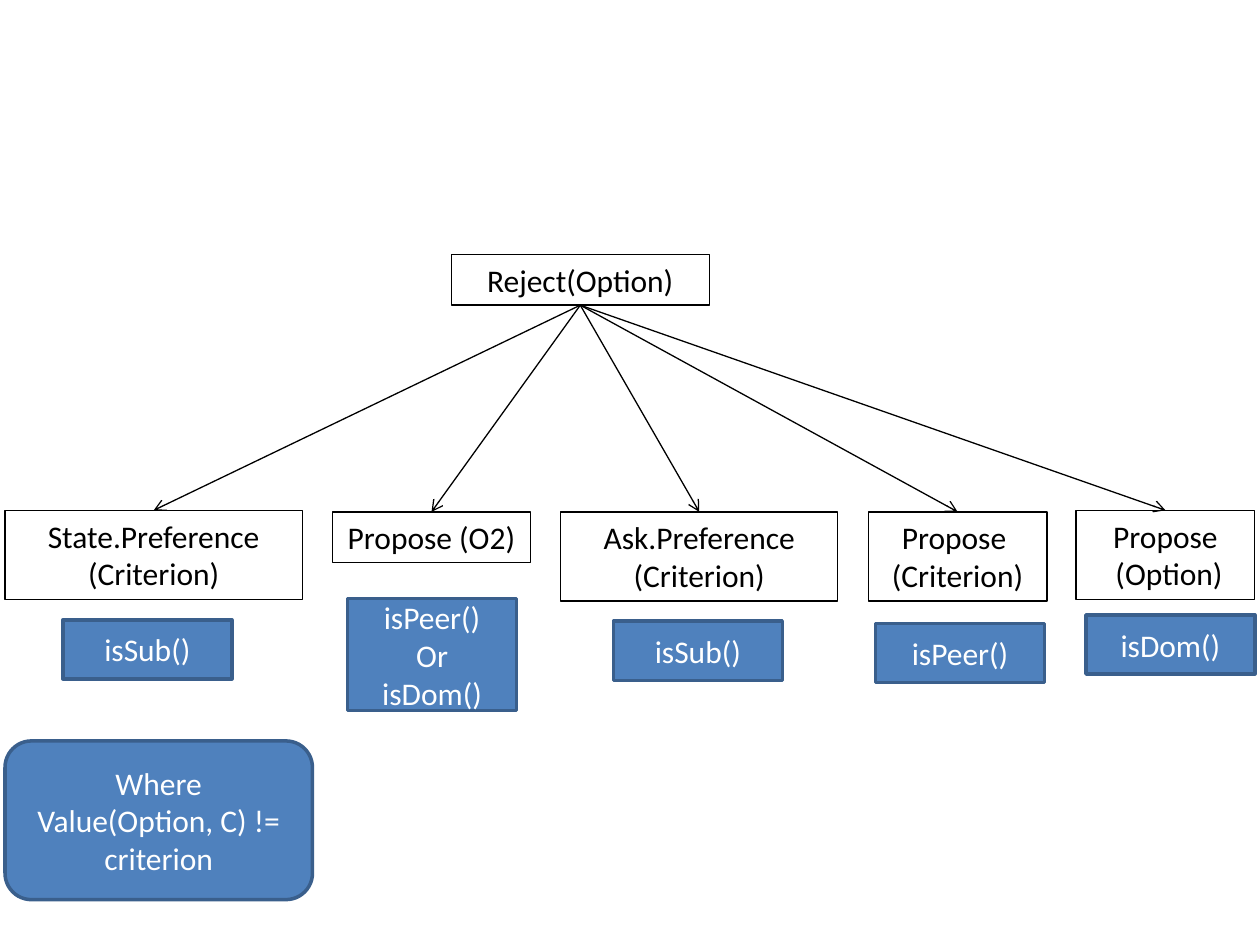
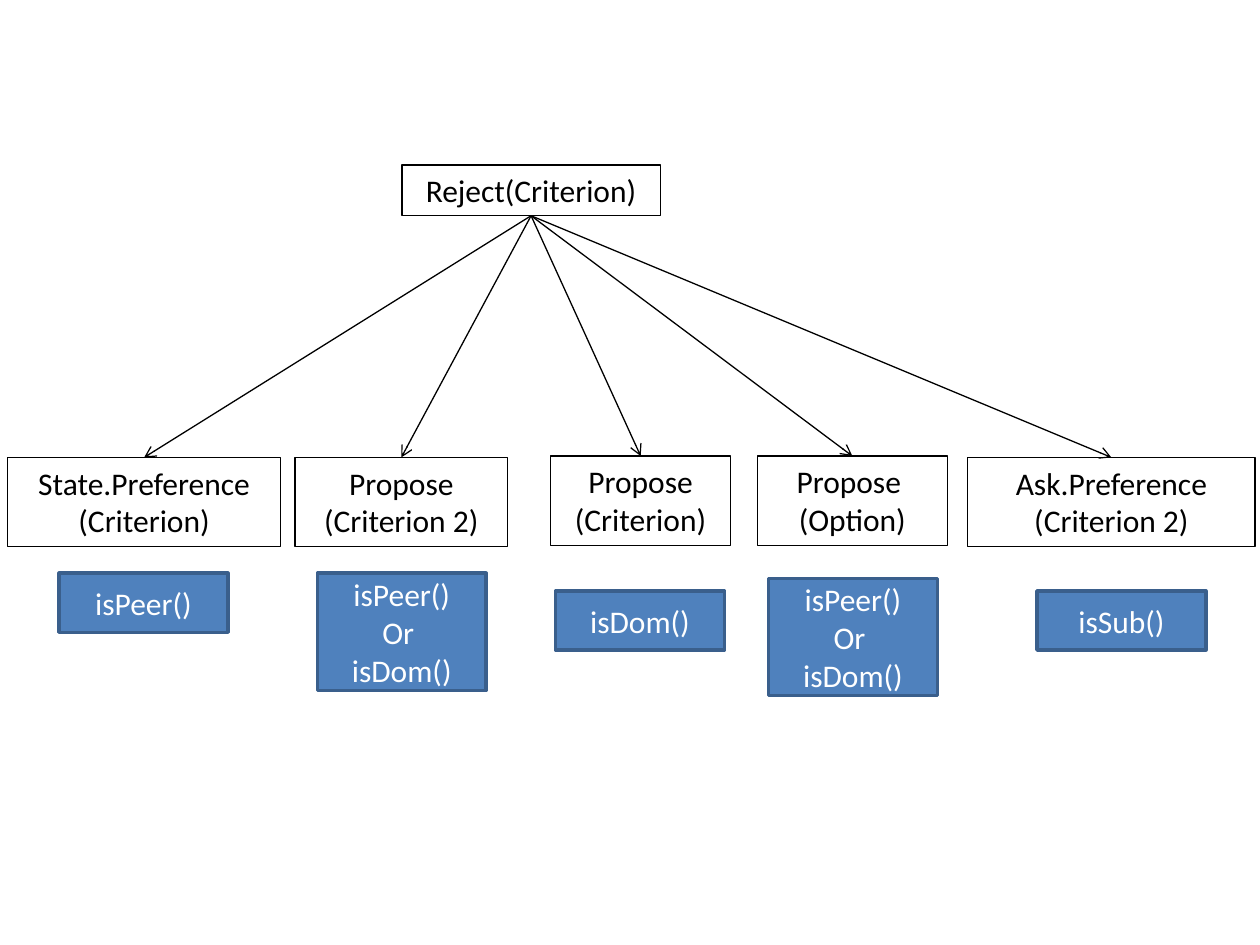
from lxml import etree
from pptx import Presentation
from pptx.dml.color import RGBColor
from pptx.enum import shapes, text
from pptx.oxml import ns
from pptx.util import Pt

COLORS = {"ink": "000000", "fill": "4F81BD", "edge": "3A5F8C", "light": "FFFFFF"}
ONE_LINE, TWO_LINES = 29, 51
ROOT_W, RULE_W, RULE_H = 147.6, 96.5, 33.8


class Tree:
    """Draws dialogue trees of acts, arrows and rules on the current slide."""

    def __init__(self, prs):
        self.prs = prs
        self.slide = None

    def new_slide(self):
        self.slide = self.prs.slides.add_slide(self.prs.slide_layouts[6])

    def color(self, name):
        return RGBColor.from_string(COLORS[name])

    def label(self, sp, content, color):
        tf = sp.text_frame
        tf.word_wrap = True
        tf.text = content
        for p in tf.paragraphs:
            p.alignment = text.PP_ALIGN.CENTER
            p.font.size = Pt(18)
            p.font.name = "Calibri"
            p.font.color.rgb = self.color(color)
        return tf

    def outline(self, sp, color, width):
        sp.line.color.rgb = self.color(color)
        sp.line.width = Pt(width)

    def act(self, content, x, y, w, h):
        sp = self.slide.shapes.add_textbox(Pt(x), Pt(y), Pt(w), Pt(h))
        self.outline(sp, "ink", 0.75)
        tf = self.label(sp, content, "ink")
        tf.auto_size = text.MSO_AUTO_SIZE.SHAPE_TO_FIT_TEXT
        return sp

    def arrow(self, parent, child):
        line = self.slide.shapes.add_connector(shapes.MSO_CONNECTOR.STRAIGHT, 0, 0, 0, 0)
        line.begin_connect(parent, 2)
        line.end_connect(child, 0)
        self.outline(line, "ink", 0.75)
        ln = line._element.spPr.find(ns.qn("a:ln"))
        etree.SubElement(ln, ns.qn("a:tailEnd"), type="arrow")
        etree.SubElement(line._element.spPr, ns.qn("a:effectLst"))

    def rule(self, content, x, y, w=RULE_W, h=RULE_H, kind=shapes.MSO_SHAPE.RECTANGLE):
        sp = self.slide.shapes.add_shape(kind, Pt(x), Pt(y), Pt(w), Pt(h))
        sp.shadow.inherit = False
        sp.fill.solid()
        sp.fill.fore_color.rgb = self.color("fill")
        self.outline(sp, "edge", 2)
        tf = self.label(sp, content, "light")
        tf.vertical_anchor = text.MSO_ANCHOR.MIDDLE

    def draw(self, root, x, y, branches):
        self.new_slide()
        parent = self.act(root, x, y, ROOT_W, ONE_LINE)
        for act, rule in branches:
            self.arrow(parent, self.act(*act))
            self.rule(*rule)


prs = Presentation()
prs.slide_width, prs.slide_height = Pt(720), Pt(540)
tree = Tree(prs)

tree.draw("Reject(Option)", 257.8, 145.4, [
    (("State.Preference\n(Criterion)", 2.9, 291.6, 169.9, TWO_LINES),
     ("isSub()", 36, 354.2)),
    (("Propose (O2)", 190.1, 292.5, 113, ONE_LINE),
     ("isPeer()\nOr\nisDom()", 198.7, 342, RULE_W, 64.1)),
    (("Ask.Preference\n(Criterion)", 320.4, 292.5, 158.4, TWO_LINES),
     ("isSub()", 350.6, 355)),
    (("Propose \n(Criterion)", 496.1, 292.5, 102.2, TWO_LINES),
     ("isPeer()", 500.4, 356.4)),
    (("Propose\n (Option)", 614.9, 291.6, 102.2, TWO_LINES),
     ("isDom()", 620.6, 351.4)),
])
tree.rule("Where Value(Option, C) != criterion", 2.9, 423.4, 175.7, 90.7,
          shapes.MSO_SHAPE.ROUNDED_RECTANGLE)

tree.draw("Reject(Criterion)", 229.7, 94.3, [
    (("State.Preference\n(Criterion)", 4.3, 261.4, 156.2, TWO_LINES),
     ("isPeer()", 33.8, 327.6)),
    (("Propose (Criterion 2)", 168.5, 261.4, 121.7, TWO_LINES),
     ("isPeer()\nOr \nisDom()", 181.4, 327.6, RULE_W, 67)),
    (("Propose (Criterion)", 314.6, 260.6, 103, TWO_LINES),
     ("isDom()", 317.5, 337.7)),
    (("Propose \n(Option)", 432.7, 260.6, 108.7, TWO_LINES),
     ("isPeer()\nOr \nisDom()", 439.2, 330.5, RULE_W, 67)),
    (("Ask.Preference\n(Criterion 2)", 553, 261.4, 164.2, TWO_LINES),
     ("isSub()", 592.6, 337.7)),
])

prs.save("out.pptx")
